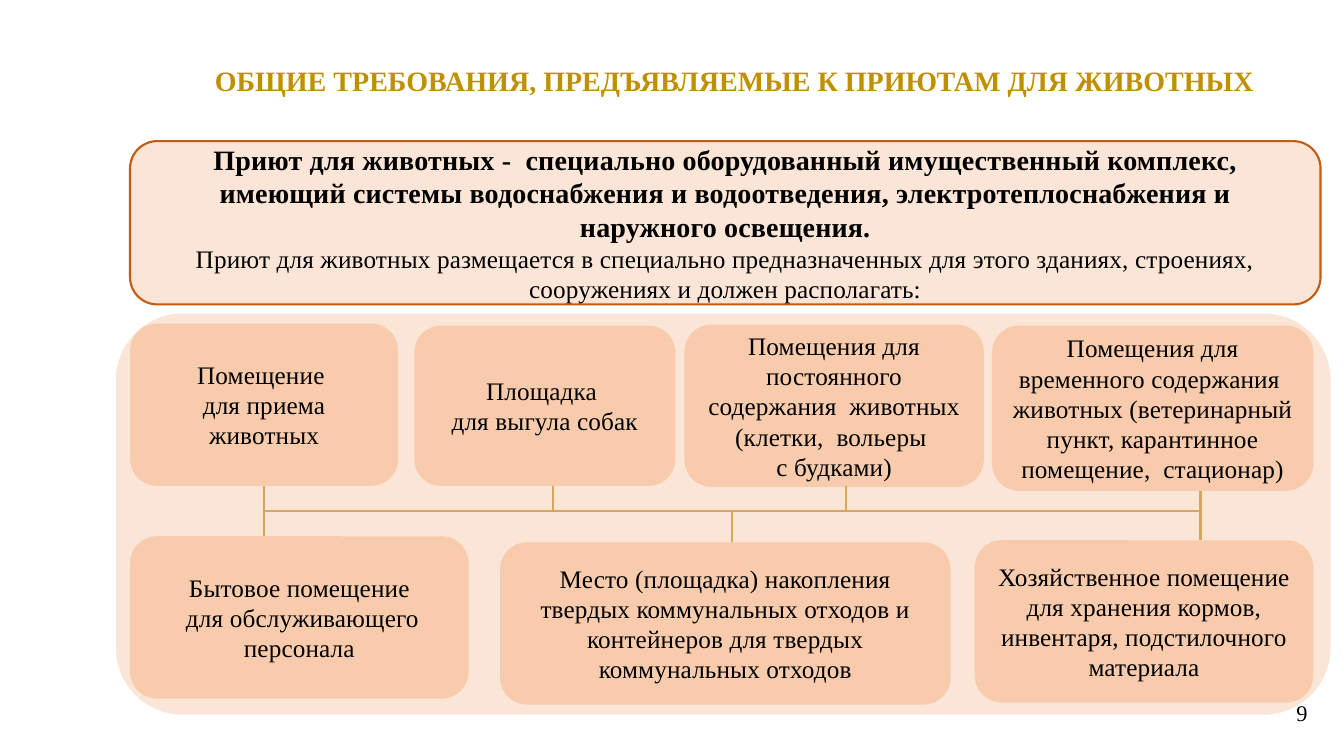
import pptx
import pptx.dml.color
import pptx.enum.shapes
import pptx.enum.text
import pptx.oxml
import pptx.oxml.ns
import pptx.util

COLUMNS, ROWS = 133.33, 75  # grid cells are a tenth of an inch
ALIGN = pptx.enum.text.PP_ALIGN
ANCHOR = pptx.enum.text.MSO_ANCHOR


def color(value):
    return pptx.dml.color.RGBColor.from_string(value)


class ShelterSlide:
    font = "Times New Roman"
    ink, gold, rule = "000000", "BF9000", "D5A75D"
    pale, peach, border = "FBE5D6", "F8CBAD", "C55A11"
    line_width = 1.5

    def __init__(self, presentation):
        self.column = presentation.slide_width / COLUMNS
        self.row = presentation.slide_height / ROWS
        self.slide = presentation.slides.add_slide(presentation.slide_layouts[6])

    def place(self, left, top, width, height):
        return (round(left * self.column), round(top * self.row),
                round(width * self.column), round(height * self.row))

    def add_run(self, paragraph, text, size=18, bold=False, ink=None, spacing=0):
        run = paragraph.add_run()
        run.text = text
        run.font.name = self.font
        run.font.size = pptx.util.Pt(size)
        run.font.bold = bold
        run.font.color.rgb = color(ink or self.ink)
        if spacing:
            run.font._element.set("spc", str(spacing))

    def panel(self, area, fill, border=None):
        shape = self.slide.shapes.add_shape(
            pptx.enum.shapes.MSO_SHAPE.ROUNDED_RECTANGLE, *self.place(*area))
        shape.shadow.inherit = False
        shape.fill.solid()
        shape.fill.fore_color.rgb = color(fill)
        if border:
            shape.line.color.rgb = color(border)
            shape.line.width = pptx.util.Pt(self.line_width)
        else:
            shape.line.fill.background()
        shape.text_frame.word_wrap = True
        shape.text_frame.vertical_anchor = ANCHOR.MIDDLE
        return shape

    def card(self, area, lines):
        shape = self.panel(area, self.peach)
        frame = shape.text_frame
        for number, line in enumerate(lines):
            paragraph = frame.add_paragraph() if number else frame.paragraphs[0]
            paragraph.alignment = ALIGN.CENTER
            self.add_run(paragraph, line, spacing=10)
        return shape

    def definition(self, area, term, condition):
        shape = self.panel(area, self.pale, self.border)
        paragraph = shape.text_frame.paragraphs[0]
        paragraph.alignment = ALIGN.CENTER
        self.add_run(paragraph, term, size=20, bold=True, spacing=10)
        paragraph.add_line_break()
        self.add_run(paragraph, condition, spacing=10)

    def label(self, area, text, align, anchor, **style):
        box = self.slide.shapes.add_textbox(*self.place(*area))
        box.text_frame.word_wrap = True
        box.text_frame.vertical_anchor = anchor
        paragraph = box.text_frame.paragraphs[0]
        paragraph.alignment = align
        self.add_run(paragraph, text, **style)

    def connector(self, left, top, right, bottom, start=None):
        line = self.slide.shapes.add_connector(
            pptx.enum.shapes.MSO_CONNECTOR.STRAIGHT,
            *self.place(left, top, right, bottom))
        line.line.color.rgb = color(self.rule)
        line.line.width = pptx.util.Pt(self.line_width)
        line._element.spPr.append(
            pptx.oxml.parse_xml(f"<a:effectLst {pptx.oxml.ns.nsdecls('a')}/>"))
        if start is not None:
            line.begin_connect(start, 2)


def main():
    presentation = pptx.Presentation()
    presentation.slide_width = pptx.util.Inches(13.33)
    presentation.slide_height = pptx.util.Inches(7.5)
    page = ShelterSlide(presentation)

    # Title and definition
    page.label((13.8, 5.8, 118.1, 4.4),
               "ОБЩИЕ ТРЕБОВАНИЯ, ПРЕДЪЯВЛЯЕМЫЕ К ПРИЮТАМ ДЛЯ ЖИВОТНЫХ",
               ALIGN.CENTER, ANCHOR.TOP, size=20, bold=True, ink=page.gold)
    page.definition(
        (12.9, 14, 118.1, 16.2),
        "Приют для животных -  специально оборудованный имущественный комплекс, "
        "имеющий системы водоснабжения и водоотведения, "
        "электротеплоснабжения и наружного освещения.",
        "Приют для животных размещается в специально предназначенных для этого "
        "зданиях, строениях, сооружениях и должен располагать:")

    # Background panel and required premises
    page.panel((11.5, 31.1, 120.5, 39.8), page.pale)
    premises = [
        ((12.9, 32.1, 26.6, 16.1), ["Помещение ", "для приема животных"]),
        ((41.1, 32.3, 25.9, 15.9), ["Площадка ", "для выгула собак"]),
        ((67.9, 32.2, 29.7, 16.1),
         ["Помещения для постоянного содержания  животных (клетки,  вольеры ",
          "с будками)"]),
        ((98.4, 32.3, 31.9, 16.4),
         ["Помещения для временного содержания  животных (ветеринарный пункт, "
          "карантинное помещение,  стационар)"]),
        ((12.9, 53.2, 33.6, 16.1),
         ["Бытовое помещение", " для обслуживающего персонала"]),
        ((49.6, 53.8, 44.7, 16.1),
         ["Место (площадка) накопления твердых коммунальных отходов и "
          "контейнеров для твердых коммунальных отходов"]),
        ((96.7, 53.6, 33.6, 16.1),
         ["Хозяйственное помещение для хранения кормов, инвентаря, "
          "подстилочного материала"]),
    ]
    cards = [page.card(area, lines) for area, lines in premises]

    # Bus line and its branches
    bus, first, last = 50.7, 26.2, 119.1
    page.connector(first, bus, last, bus)
    page.connector(first, 48.2, first, 53.2, start=cards[0])
    for x, top, bottom in [(54.9, 48.2, bus), (83.9, 48.2, bus),
                           (72.6, bus, 53.8), (last, 48.7, 53.6)]:
        page.connector(x, top, x, bottom)

    # Page number
    page.label((99.6, 68.1, 31.1, 5.2), "9", ALIGN.RIGHT, ANCHOR.MIDDLE, size=16)

    presentation.save("out.pptx")


if __name__ == "__main__":
    main()
